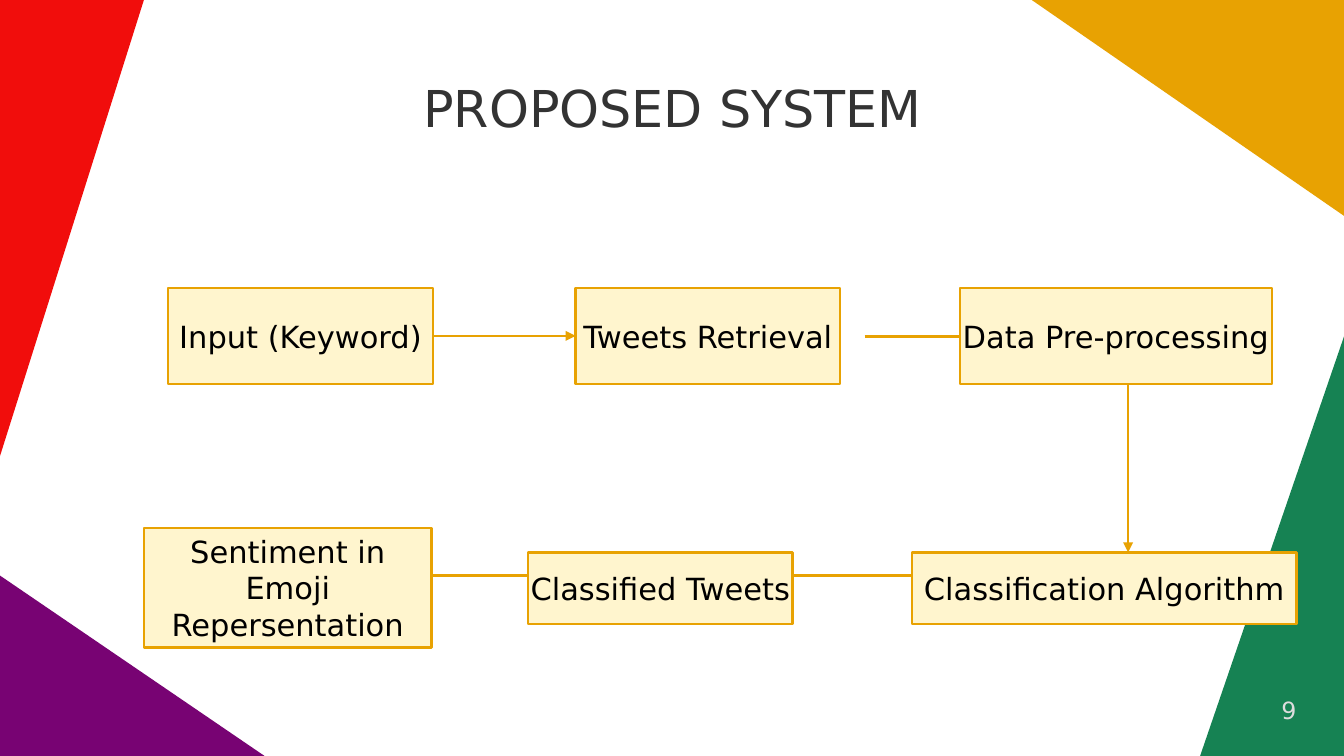
from pptx import Presentation
from pptx.dml.color import RGBColor
from pptx.enum.shapes import MSO_CONNECTOR as CONN, MSO_SHAPE as SHAPE
from pptx.enum.text import MSO_ANCHOR as ANCHOR, PP_ALIGN as ALIGN
from pptx.oxml.ns import qn
from pptx.util import Inches, Pt
from lxml.etree import SubElement

WIDTH, HEIGHT = 11.02, 6.2
FONT = "DejaVu Sans"
RED = RGBColor(0xF1, 0x0D, 0x0C)
GOLD = RGBColor(0xE8, 0xA2, 0x02)
GREEN = RGBColor(0x16, 0x82, 0x53)
PURPLE = RGBColor(0x78, 0x03, 0x73)
CREAM = RGBColor(0xFF, 0xF5, 0xCE)
BLACK = RGBColor(0, 0, 0)
DARK = RGBColor(0x33, 0x33, 0x33)
PALE = RGBColor(0xDD, 0xDD, 0xDD)

STEPS = [
    ("Input (Keyword)", 0.2, 0, 2.17, 0.79),
    ("Tweets Retrieval", 3.54, 0, 2.17, 0.79),
    ("Data Pre-processing", 6.69, 0, 2.56, 0.79),
    ("Classification Algorithm", 6.3, 2.17, 3.15, 0.59),
    ("Classified Tweets", 3.15, 2.17, 2.17, 0.59),
    ("Sentiment in\nEmoji\nRepersentation", 0, 1.97, 2.36, 0.98),
]
TUCKED_ARROWS = [
    (5.91, 0.4, 7.48, 0.4),
    (6.3, 2.36, 5.12, 2.36),
    (3.15, 2.36, 2.17, 2.36),
]
DOWN_ARROW = (8.07, 0.79, 8.07, 2.17)


def set_text(tf, text, size, color, align, margins=(0, 0)):
    """Fill a text frame with evenly formatted paragraphs."""
    tf.text = text
    tf.margin_left = tf.margin_right = Inches(margins[0])
    tf.margin_top = tf.margin_bottom = Inches(margins[1])
    for p in tf.paragraphs:
        p.alignment = align
        p.font.name, p.font.size = FONT, Pt(size)
        p.font.color.rgb = color


def add_corners(s, x, y, w, h):
    """Draw a coloured triangle in each corner of the box."""
    right, bottom = x + w, y + h
    corners = [
        (PURPLE, x, bottom, 2.17, -1.48),
        (RED, x, y, 1.18, 3.74),
        (GOLD, right, y, -2.56, 1.77),
        (GREEN, right, bottom, -1.18, -3.44),
    ]
    for color, cx, cy, dx, dy in corners:
        builder = s.shapes.build_freeform(Inches(cx), Inches(cy))
        builder.add_line_segments([(Inches(cx + dx), Inches(cy)),
                                   (Inches(cx), Inches(cy + dy))])
        sp = builder.convert_to_shape()
        sp.shadow.inherit = False
        sp.fill.solid()
        sp.fill.fore_color.rgb = color
        sp.line.fill.background()


def add_title(s, x, y, w, h):
    """Place the slide title in the box."""
    sp = s.shapes.title
    sp.left, sp.top, sp.width, sp.height = map(Inches, (x, y, w, h))
    set_text(sp.text_frame, "PROPOSED SYSTEM", 30, DARK, ALIGN.CENTER)
    sp.text_frame.vertical_anchor = ANCHOR.MIDDLE


def add_arrow(s, x1, y1, x2, y2):
    """Draw a gold arrow between two points."""
    sp = s.shapes.add_connector(CONN.STRAIGHT, *map(Inches, (x1, y1, x2, y2)))
    sp.line.color.rgb = GOLD
    sp.line.width = Pt(1.42)
    SubElement(sp.line._get_or_add_ln(), qn("a:tailEnd"), type="triangle")
    SubElement(sp._element.spPr, qn("a:effectLst"))
    return sp


def add_step(s, text, x, y, w, h):
    """Draw one labelled step of the flow."""
    sp = s.shapes.add_shape(SHAPE.RECTANGLE, *map(Inches, (x, y, w, h)))
    sp.shadow.inherit = False
    sp.fill.solid()
    sp.fill.fore_color.rgb = CREAM
    sp.line.color.rgb = GOLD
    sp.line.width = Pt(1.42)
    tf = sp.text_frame
    set_text(tf, text, 18, BLACK, ALIGN.CENTER, (0.1, 0.05))
    tf.word_wrap = False
    tf.vertical_anchor = ANCHOR.MIDDLE
    return sp


def add_flow(s, x, y):
    """Draw the flow from its top left point, tucked arrows behind the steps."""
    for x1, y1, x2, y2 in TUCKED_ARROWS:
        add_arrow(s, x + x1, y + y1, x + x2, y + y2)
    steps = [add_step(s, text, x + dx, y + dy, w, h)
             for text, dx, dy, w, h in STEPS]
    x1, y1, x2, y2 = DOWN_ARROW
    add_arrow(s, x + x1, y + y1, x + x2, y + y2)
    first = add_arrow(s, x, y, x, y)
    first.begin_connect(steps[0], 3)
    first.end_connect(steps[1], 1)


def add_page_number(s, x, y, w, h):
    """Write the page number at the right of the box."""
    sp = s.shapes.add_textbox(*map(Inches, (x, y, w, h)))
    set_text(sp.text_frame, "9", 14, PALE, ALIGN.RIGHT)
    sp.text_frame.word_wrap = True


def main():
    """Build and save the slide."""
    prs = Presentation()
    prs.slide_width, prs.slide_height = Inches(WIDTH), Inches(HEIGHT)
    s = prs.slides.add_slide(prs.slide_layouts[5])
    add_corners(s, 0, 0, WIDTH, HEIGHT)
    add_title(s, 0.79, 0.39, 9.45, 0.98)
    add_flow(s, 1.18, 2.36)
    add_page_number(s, 8.07, 5.71, 2.56, 0.39)
    prs.save("out.pptx")


if __name__ == "__main__":
    main()
